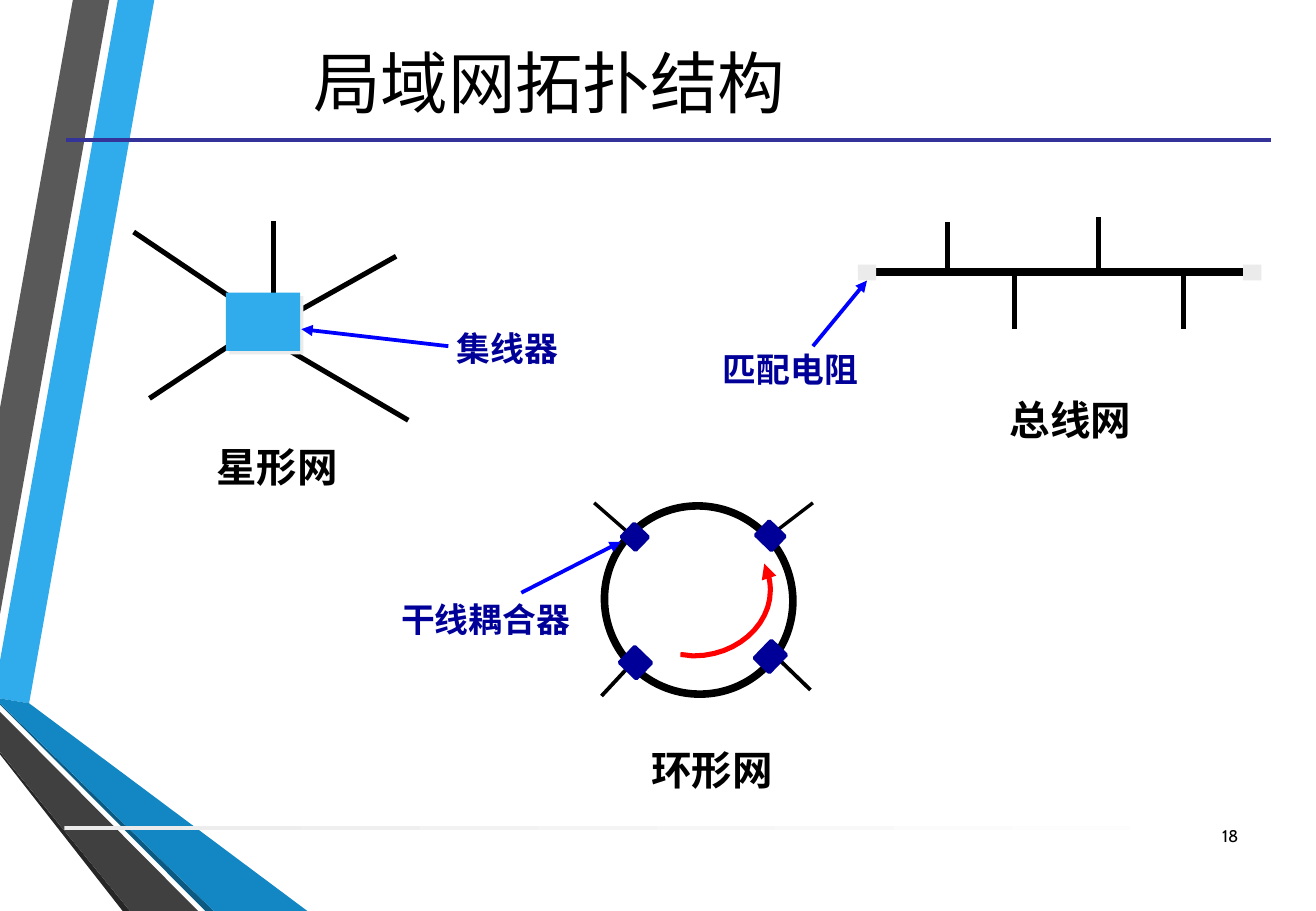
from lxml import etree
from pptx import Presentation
from pptx.dml.color import RGBColor
from pptx.enum import shapes, text
from pptx.oxml.ns import qn
from pptx.util import Inches, Pt

BLACK = RGBColor(0x00, 0x00, 0x00)
WHITE = RGBColor(0xFF, 0xFF, 0xFF)
NAVY = RGBColor(0x00, 0x00, 0x99)
BLUE = RGBColor(0x00, 0x00, 0xFF)
RED = RGBColor(0xFF, 0x00, 0x00)
RULE = RGBColor(0x33, 0x33, 0x99)
SKY = RGBColor(0x30, 0xAC, 0xEC)
PALE = RGBColor(0xEB, 0xEB, 0xEB)
GREY = RGBColor(0x59, 0x59, 0x59)
COAL = RGBColor(0x26, 0x26, 0x26)
CHARCOAL = RGBColor(0x40, 0x40, 0x40)
TEAL = RGBColor(0x0C, 0x5A, 0x82)
OCEAN = RGBColor(0x12, 0x87, 0xC3)
CJK = "Noto Sans CJK SC"
LEFT, CENTER, RIGHT = text.PP_ALIGN.LEFT, text.PP_ALIGN.CENTER, text.PP_ALIGN.RIGHT

prs = Presentation()
prs.slide_width, prs.slide_height = Inches(10.83), Inches(7.5)
slide = prs.slides.add_slide(prs.slide_layouts[6])


def draw_line(start, end, color, width, arrow=False):
    """Straight line; an arrow points at its start."""
    line = slide.shapes.add_connector(
        shapes.MSO_CONNECTOR.STRAIGHT, *[Inches(v) for v in (*start, *end)])
    line.line.color.rgb, line.line.width = color, Pt(width)
    etree.SubElement(line._element.spPr, qn("a:effectLst"))
    if arrow:
        etree.SubElement(line.line._get_or_add_ln(), qn("a:headEnd"), type="triangle")
    return line


def draw_shape(kind, box, fill, line=None, width=0, rotation=0):
    shape = slide.shapes.add_shape(kind, *[Inches(v) for v in box])
    shape.shadow.inherit = False
    shape.rotation = rotation
    shape.fill.solid()
    shape.fill.fore_color.rgb = fill
    if line is None:
        shape.line.fill.background()
    else:
        shape.line.color.rgb, shape.line.width = line, Pt(width)
    return shape


RECT = shapes.MSO_SHAPE.RECTANGLE

# Side ribbons
ribbons = [
    (SKY, [(0, 5.44), (0, 5.75), (0.24, 5.79), (1.27, 0), (0.97, 0)]),
    (GREY, [(0.9, 0), (0.6, 0), (0, 3.36), (0, 5.06)]),
    (COAL, [(0, 6.19), (0, 6.21), (1.01, 7.5), (1.07, 7.5)]),
    (TEAL, [(0, 5.79), (0, 5.8), (1.69, 7.5), (1.76, 7.5)]),
    (OCEAN, [(0, 5.79), (1.76, 7.5), (2.53, 7.5), (0.24, 5.79), (0, 5.75)]),
    (CHARCOAL, [(0, 6.19), (1.07, 7.5), (1.63, 7.5), (0, 5.86)]),
]
for color, corners in ribbons:
    points = [(Inches(x), Inches(y)) for x, y in corners]
    builder = slide.shapes.build_freeform(*points[0])
    builder.add_line_segments(points[1:], close=True)
    ribbon = builder.convert_to_shape()
    ribbon.shadow.inherit = False
    ribbon.fill.solid()
    ribbon.fill.fore_color.rgb = color
    ribbon.line.fill.background()

footer_rule = draw_shape(RECT, (0.53, 6.8, 9.75, 0.03), PALE)
footer_rule.fill.gradient()
footer_rule.fill.gradient_angle = 0
for stop, color in zip(footer_rule.fill.gradient_stops, (PALE, WHITE)):
    stop.color.rgb = color
draw_line((0.54, 1.15), (10.46, 1.15), RULE, 2.25)

# Ring network
for start, end, width in [((5.21, 4.42), (4.89, 4.14), 2), ((6.69, 4.14), (6.35, 4.4), 2),
                          ((6.67, 5.68), (6.37, 5.39), 2.25), ((5.22, 5.44), (4.95, 5.73), 2.25)]:
    draw_line(start, end, BLACK, width)
draw_shape(shapes.MSO_SHAPE.OVAL, (4.98, 4.16, 1.54, 1.56), WHITE, BLACK, 4.5, 314)
for coupler in [(5.15, 4.34, 0.15, 0.16), (6.24, 5.32, 0.2, 0.17),
                (6.26, 4.32, 0.16, 0.18), (5.14, 5.36, 0.18, 0.19)]:
    draw_shape(RECT, coupler, NAVY, NAVY, 2.25, 314)
draw_line((5.11, 4.46), (4.29, 4.88), BLUE, 2.25, arrow=True)

# Direction of travel, sampled along three Bezier curves
curves = [
    [(5.6, 5.39), (5.64, 5.39), (5.68, 5.4), (5.71, 5.4)],
    [(5.71, 5.4), (6.06, 5.4), (6.34, 5.15), (6.34, 4.86)],
    [(6.34, 4.86), (6.34, 4.78), (6.32, 4.71), (6.29, 4.64)],
]
STEPS = 12
travel = [(Inches(5.6), Inches(5.39))]
for curve in curves:
    for step in range(1, STEPS + 1):
        t = step / STEPS
        weights = ((1 - t) ** 3, 3 * t * (1 - t) ** 2, 3 * t * t * (1 - t), t ** 3)
        travel.append(tuple(Inches(sum(w * p[axis] for w, p in zip(weights, curve)))
                            for axis in (0, 1)))
builder = slide.shapes.build_freeform(*travel[0])
builder.add_line_segments(travel[1:], close=False)
direction = builder.convert_to_shape()
direction.shadow.inherit = False
direction.fill.background()
direction.line.color.rgb, direction.line.width = RED, Pt(3)
etree.SubElement(direction.line._get_or_add_ln(), qn("a:tailEnd"), type="triangle")

# Star network
for start, end in [((1.99, 2.51), (1.1, 1.91)), ((2.25, 2.51), (2.25, 1.82)),
                   ((1.94, 2.81), (1.23, 3.28)), ((2.25, 2.81), (3.36, 3.46)),
                   ((2.37, 2.61), (3.26, 2.11))]:
    draw_line(start, end, BLACK, 3)
hub = draw_shape(RECT, (1.86, 2.41, 0.61, 0.48), SKY)
hub_shadow = etree.SubElement(hub._element.spPr.find(qn("a:effectLst")), qn("a:outerShdw"),
                              dist=str(Pt(2.8)), dir="2700000", algn="ctr", rotWithShape="0")
etree.SubElement(hub_shadow, qn("a:srgbClr"), val=str(PALE))
draw_line((2.48, 2.71), (3.69, 2.85), BLUE, 2.25, arrow=True)

# Bus network
BUS_Y = 2.24
draw_line((7.18, BUS_Y), (10.3, BUS_Y), BLACK, 4.5)
draw_shape(RECT, (10.23, 2.18, 0.15, 0.13), PALE)
resistor = draw_shape(RECT, (7.06, 2.18, 0.15, 0.13), PALE)
for x, end_y in [(7.8, 1.83), (8.35, 2.71), (9.04, 1.79), (9.74, 2.71)]:
    draw_line((x, BUS_Y), (x, end_y), BLACK, 3)
resistor_arrow = draw_line((7.13, 2.31), (6.69, 2.85), BLUE, 2.25, arrow=True)
resistor_arrow.begin_connect(resistor, 2)

# Title, captions, labels and page number
caption = {"size": Pt(24), "bold": True, "name": CJK}
label = {"size": Pt(20), "bold": True, "name": "Times New Roman"}
texts = [
    ("局域网拓扑结构", (0.43, 0.05, 8.18, 1.24), CENTER, BLACK, {"size": Pt(40), "name": "Cabin"}),
    ("环形网", (5.26, 6.08, 1.22, 0.51), LEFT, BLACK, caption),
    ("星形网", (1.68, 3.59, 1.22, 0.5), LEFT, BLACK, caption),
    ("总线网", (8.21, 3.2, 1.22, 0.51), LEFT, BLACK, caption),
    ("干线耦合器", (3.05, 4.88, 1.74, 0.43), RIGHT, NAVY, label),
    ("集线器", (3.66, 2.65, 1.05, 0.43), LEFT, NAVY, label),
    ("匹配电阻", (5.85, 2.82, 1.33, 0.43), LEFT, NAVY, {**label, "name": "Cabin"}),
    ("18", (9.78, 6.68, 0.51, 0.4), RIGHT, BLACK, {"size": Pt(10), "name": "Cabin"}),
]
for words, box, align, color, style in texts:
    frame = slide.shapes.add_textbox(*[Inches(v) for v in box]).text_frame
    frame.word_wrap = align != LEFT
    frame.vertical_anchor = text.MSO_ANCHOR.MIDDLE
    paragraph = frame.paragraphs[0]
    paragraph.alignment = align
    run = paragraph.add_run()
    run.text = words
    run.font.color.rgb = color
    for attribute, value in style.items():
        setattr(run.font, attribute, value)
    etree.SubElement(run._r.get_or_add_rPr(), qn("a:ea"), typeface=CJK)

prs.save("out.pptx")
